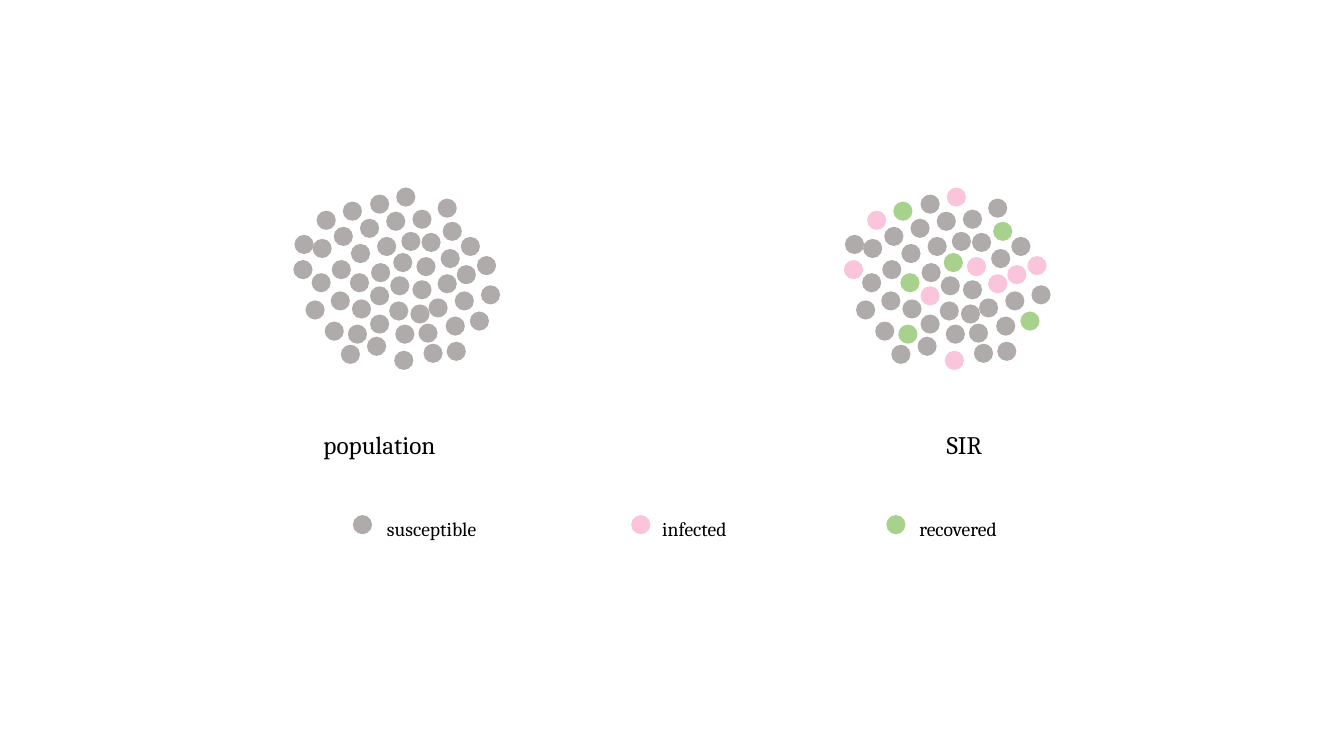
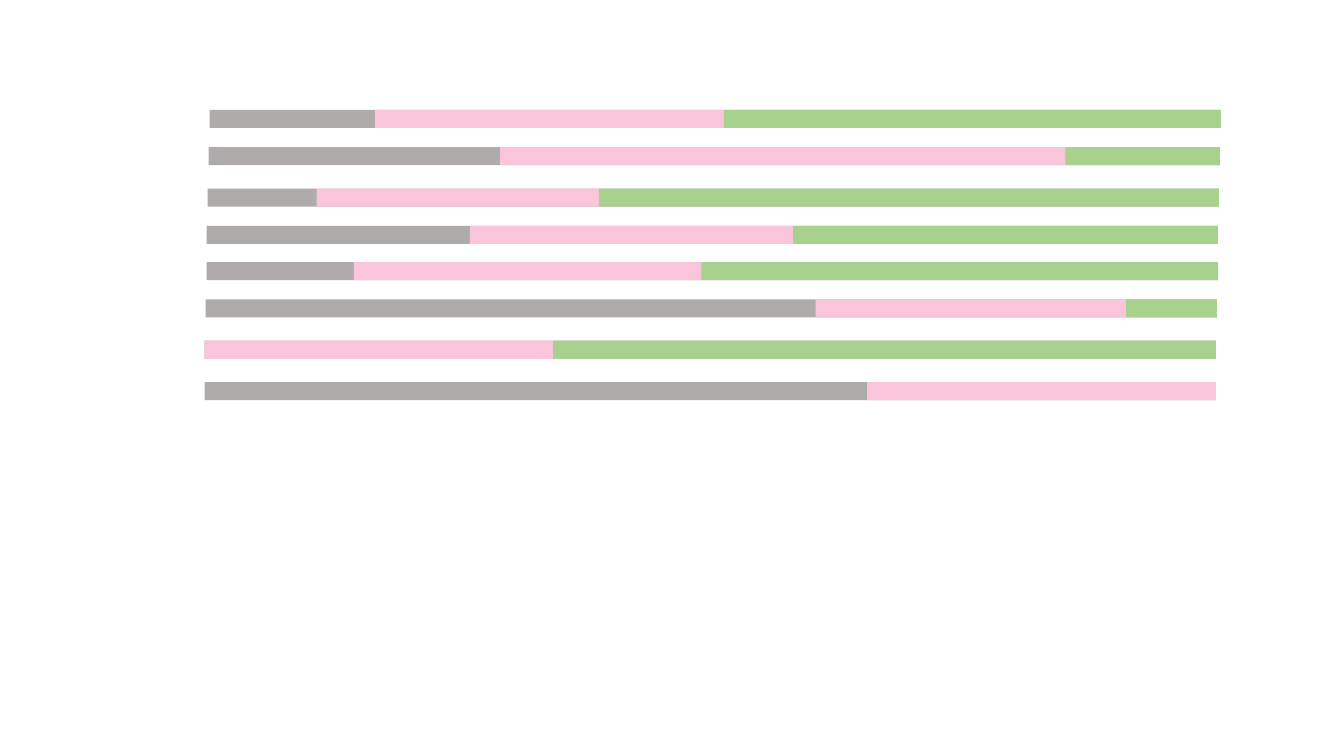
import pptx
import pptx.util
import pptx.dml.color
import pptx.enum.shapes

Inches = pptx.util.Inches
MSO_SHAPE = pptx.enum.shapes.MSO_SHAPE

COLORS = {"susceptible": "AFABAB", "infected": "FAC5DA", "recovered": "A9D18E"}
FONT = "Cambria"
DOT = 0.19


def add_block(shapes, kind, x, y, w, h, color):
    sp = shapes.add_shape(kind, Inches(x), Inches(y), Inches(w), Inches(h))
    sp.shadow.inherit = False
    sp.fill.solid()
    sp.fill.fore_color.rgb = pptx.dml.color.RGBColor.from_string(color)
    sp.line.fill.background()


def add_label(shapes, text, x, y, h, size):
    tf = shapes.add_textbox(Inches(x), Inches(y), Inches(2.37), Inches(h)).text_frame
    tf.word_wrap = True
    r = tf.paragraphs[0].add_run()
    r.text = text
    r.font.name = FONT
    r.font.size = pptx.util.Pt(size)
    r.font.color.rgb = pptx.dml.color.RGBColor.from_string("000000")


prs = pptx.Presentation()
prs.slide_width = Inches(13.33)
prs.slide_height = Inches(7.5)
blank = prs.slide_layouts[6]

# Slide 1: the same crowd of dots before and after the epidemic
s = prs.slides.add_slide(blank)
dots = {
    "susceptible": [
        (3.98, 2.3), (3.87, 2.74), (3.03, 2.98), (3.1, 2.37), (3.29, 2.58), (3.31, 2.25),
        (3.48, 2.42), (3.74, 2.35), (3.57, 2.17), (3.67, 1.93), (3.83, 2.1), (3.68, 2.61),
        (3.28, 2.89), (3.49, 2.97), (3.09, 2.71), (2.92, 2.33), (4.09, 2.78), (3.86, 2.99),
        (3.64, 3.34), (4.37, 2.47), (4.57, 2.35), (4.77, 2.83), (4.43, 3.39), (4.15, 3.21),
        (4.42, 3.14), (3.67, 3.12), (4.2, 3.41), (4.25, 2.96), (4.51, 2.89), (4.07, 3.02),
        (3.22, 3.19), (3.38, 3.42), (4.18, 2.31), (4.09, 2.08), (4.34, 1.97), (3.92, 3.22),
    ],
    "infected": [
        (3.14, 2.09), (4.13, 2.55), (3.67, 2.84), (2.91, 2.58), (4.73, 2.54),
        (3.93, 1.86), (4.34, 2.72), (4.53, 2.63), (3.91, 3.48),
    ],
    "recovered": [
        (3.47, 2.71), (3.9, 2.51), (3.4, 2), (4.66, 3.09), (3.45, 3.22), (4.39, 2.2),
    ],
}
# Caption, caption left, shift of the crowd, dots coloured by state
crowds = [("population", 3.11, 0, False), ("SIR", 9.29, 5.46, True)]
for caption, caption_x, shift, by_state in crowds:
    group = s.shapes.add_group_shape()
    for state, points in dots.items():
        color = COLORS[state if by_state else "susceptible"]
        for x, y in points:
            add_block(group.shapes, MSO_SHAPE.OVAL, x + shift, y, DOT, DOT, color)
    add_label(s.shapes, caption, caption_x, 4.21, 0.4, 18)

# Legend
for state, dot_x, text_x in [("susceptible", 3.5, 3.74), ("infected", 6.26, 6.47),
                             ("recovered", 8.79, 9.02)]:
    add_block(s.shapes, MSO_SHAPE.OVAL, dot_x, 5.11, DOT, DOT, COLORS[state])
    add_label(s.shapes, state, text_x, 5.08, 0.34, 14)

# Slide 2: stacked bars, each state covering the bar from its start to the right end
s = prs.slides.add_slide(blank)
BAR_W, BAR_H = 10.03, 0.18
# Left, top, start of infected, start of recovered
bars = [
    (2.08, 1.09, 3.72, 7.18),
    (2.07, 1.46, 4.96, 10.57),
    (2.06, 1.87, 3.14, 5.94),
    (2.05, 2.24, 4.66, 7.87),
    (2.05, 2.6, 3.51, 6.96),
    (2.04, 2.97, 8.09, 11.17),
    (2.03, 3.38, 2.03, 5.49),
    (2.03, 3.79, 8.6, None),
]
for left, top, infected, recovered in bars:
    right = left + BAR_W
    infected_end = recovered or right
    segments = [("susceptible", left, right), ("infected", infected, infected_end)]
    if recovered:
        segments.append(("recovered", recovered, right))
    for state, start, end in segments:
        add_block(s.shapes, MSO_SHAPE.RECTANGLE, start, top, end - start, BAR_H, COLORS[state])

prs.save("out.pptx")
